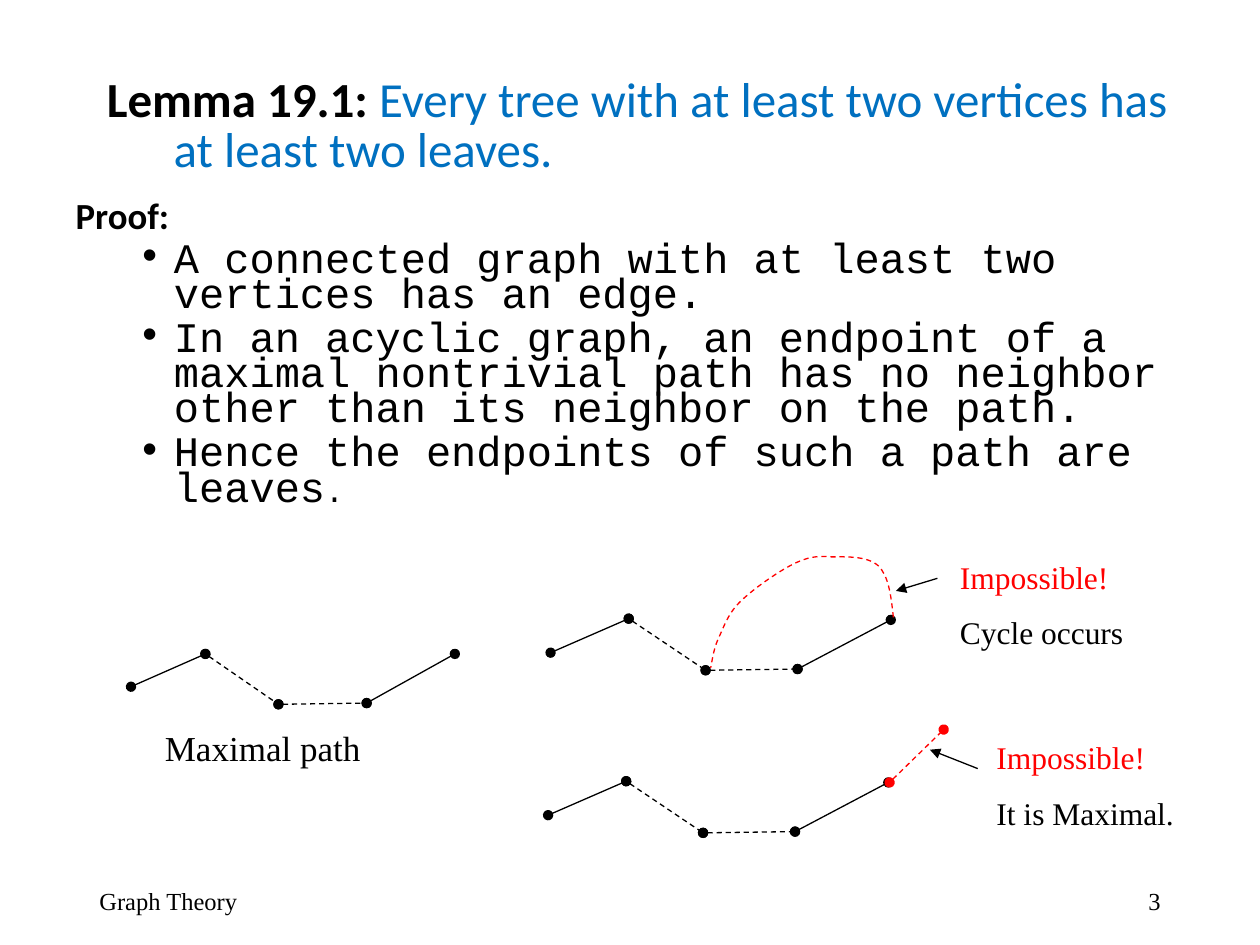
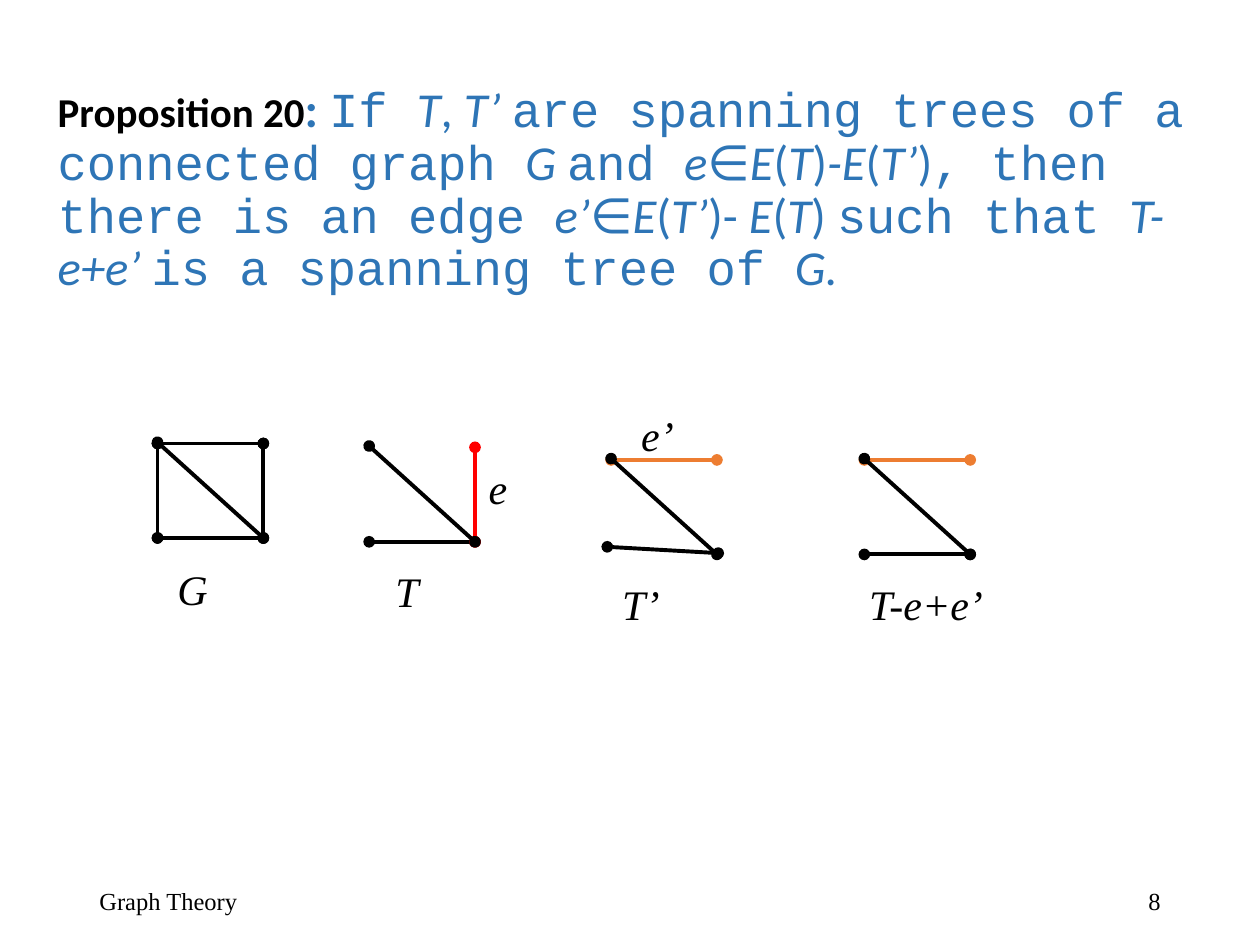
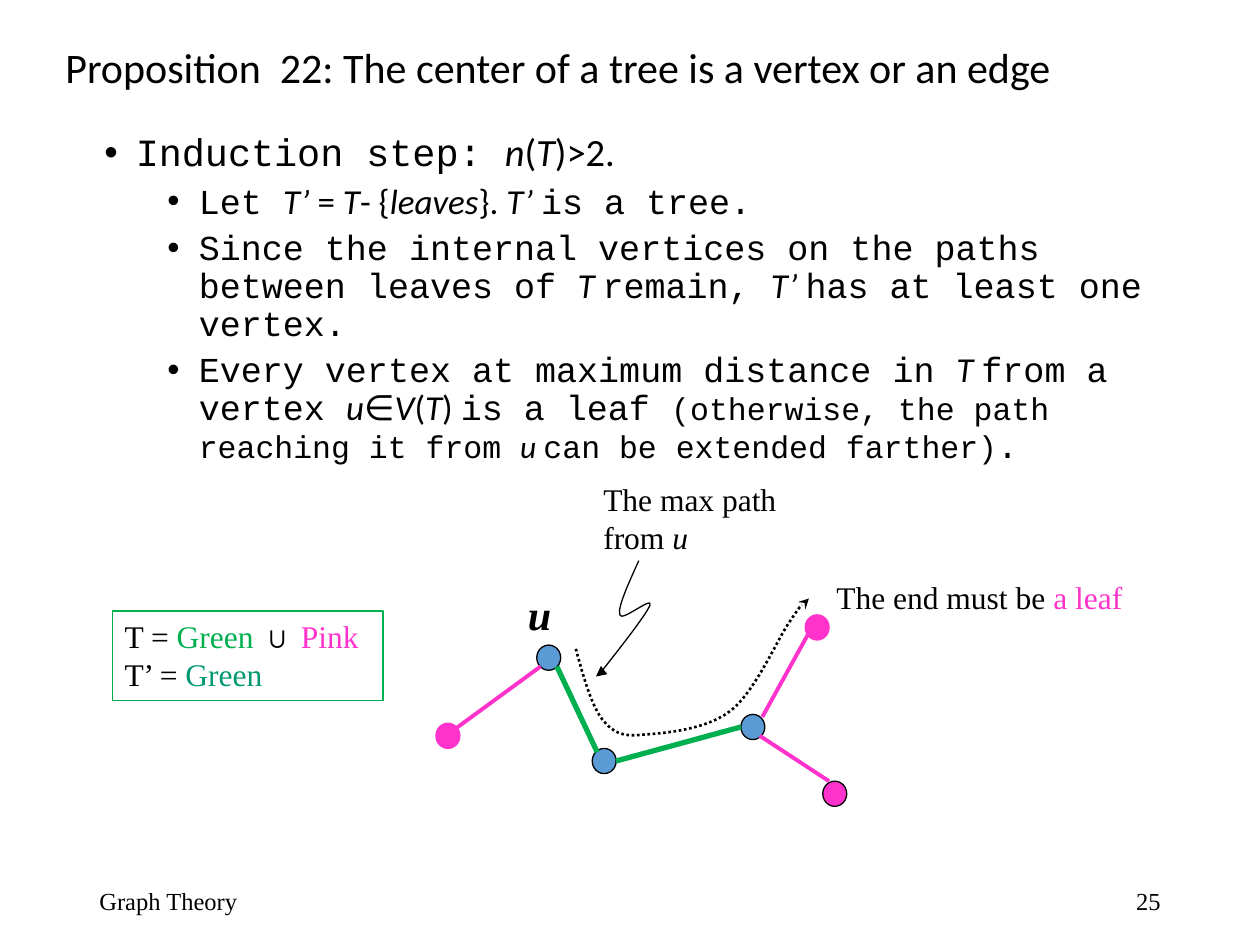
"""Build three graph theory slides on trees, spanning trees and centers."""
from dataclasses import dataclass
from functools import partial
from typing import Optional

from lxml.etree import SubElement
from pptx import Presentation
from pptx.dml.color import RGBColor
from pptx.enum.dml import MSO_LINE
from pptx.enum.shapes import MSO_CONNECTOR, MSO_SHAPE
from pptx.enum.text import MSO_ANCHOR, PP_ALIGN
from pptx.oxml.ns import qn
from pptx.util import Emu, Pt

PX = 9144
COLORS = {
    "black": "000000", "red": "FF0000", "title": "0070C0", "claim": "2E75B6",
    "orange": "ED7D31", "blue": "5B9BD5", "pink": "FF33CC",
    "green": "00B050", "teal": "009973",
}
SANS, MONO, SERIF = "Calibri", "Courier New", "Times New Roman"

Point = tuple[int, int]
Box = tuple[int, int, int, int]


@dataclass(frozen=True)
class Run:
    """A piece of text; unset fields come from its paragraph."""
    text: str
    font: Optional[str] = None
    size: Optional[float] = None
    color: Optional[str] = None
    bold: Optional[bool] = None
    italic: Optional[bool] = None


@dataclass(frozen=True)
class Para:
    """A paragraph with its default run style and its layout."""
    runs: tuple[Run, ...]
    size: float = 18
    font: str = SERIF
    color: str = "black"
    bold: bool = False
    italic: bool = False
    spacing: Optional[float] = None
    before: int = 0
    left: int = 0
    indent: int = 0
    level: int = 0
    bullet: bool = False
    align: PP_ALIGN = PP_ALIGN.LEFT


@dataclass(frozen=True)
class Stroke:
    """The look of a line."""
    color: str = "black"
    width: float = 0.75
    dash: Optional[MSO_LINE] = None
    head: Optional[str] = None
    tail: Optional[str] = None


@dataclass(frozen=True)
class Graph:
    """A small drawn graph: edges relative to its top left corner."""
    origin: Point
    edges: tuple[tuple[Point, Point, str], ...]


@dataclass(frozen=True)
class Vertex:
    """A round vertex of a tree."""
    at: Point
    fill: str
    line: str = "black"


code = partial(Run, font=MONO)
math = partial(Run, font=SANS, italic=True)
sans = partial(Run, font=SANS)

THIN = Stroke(head="oval", tail="oval")
DASHED = Stroke(dash=MSO_LINE.DASH, head="oval", tail="oval")
RED_DASHED = Stroke("red", dash=MSO_LINE.DASH, head="oval", tail="oval")
ARROW = Stroke(tail="triangle")

TL, TR, BL, BR, APEX = (0, 0), (84, 0), (0, 75), (84, 75), (0, -1)


def px(value: int) -> Emu:
    """Turn px into EMU."""
    return Emu(value * PX)


def rgb(name: str) -> RGBColor:
    """Look up a named colour."""
    return RGBColor.from_string(COLORS[name])


def style_line(shape, stroke: Stroke) -> None:
    """Give an outline its colour, width, dash and arrowheads."""
    shape.line.color.rgb = rgb(stroke.color)
    shape.line.width = Pt(stroke.width)
    if stroke.dash:
        shape.line.dash_style = stroke.dash
    ln = shape.line._get_or_add_ln()
    for tag, kind in (("a:headEnd", stroke.head), ("a:tailEnd", stroke.tail)):
        if kind:
            SubElement(ln, qn(tag)).set("type", kind)


def add_line(s, start: Point, end: Point, stroke: Stroke) -> None:
    """Draw a straight line."""
    line = s.shapes.add_connector(MSO_CONNECTOR.STRAIGHT, *map(px, start + end))
    style_line(line, stroke)
    SubElement(line._element.spPr, qn("a:effectLst"))


def add_curve(s, points: list[Point], stroke: Stroke) -> None:
    """Draw a chain of Bézier curves: a start, then three points for each."""
    builder = s.shapes.build_freeform(*points[0], scale=PX)
    builder.add_line_segments(points[1:], close=False)
    shape = builder.convert_to_shape()
    shape.shadow.inherit = False
    shape.fill.background()
    style_line(shape, stroke)
    segments = list(shape._element.iter(qn("a:lnTo")))
    for i in range(0, len(segments), 3):
        curve = SubElement(segments[i].getparent(), qn("a:cubicBezTo"))
        for segment in segments[i:i + 3]:
            curve.append(segment[0])
            segment.getparent().remove(segment)


def fill_text(tf, paras: list[Para], anchor=MSO_ANCHOR.TOP) -> None:
    """Write paragraphs run by run."""
    tf.word_wrap = True
    tf.vertical_anchor = anchor
    for i, para in enumerate(paras):
        p = tf.add_paragraph() if i else tf.paragraphs[0]
        p.alignment, p.level = para.align, para.level
        p.space_before = Pt(para.before if i else 0)
        if para.spacing:
            p.line_spacing = para.spacing
        p_pr = p._p.get_or_add_pPr()
        p_pr.set("marL", str(px(para.left)))
        p_pr.set("indent", str(px(para.indent)))
        if para.bullet:
            SubElement(p_pr, qn("a:buFont")).set("typeface", "Arial")
            SubElement(p_pr, qn("a:buChar")).set("char", "•")
        for run in para.runs:
            r = p.add_run()
            r.text = run.text
            r.font.name = run.font or para.font
            r.font.size = Pt(run.size or para.size)
            r.font.color.rgb = rgb(run.color or para.color)
            r.font.bold = para.bold if run.bold is None else run.bold
            r.font.italic = para.italic if run.italic is None else run.italic


def add_text(s, box: Box, paras: list[Para], anchor=MSO_ANCHOR.TOP):
    """Add a text box and return its frame."""
    tf = s.shapes.add_textbox(*map(px, box)).text_frame
    fill_text(tf, paras, anchor)
    return tf


def add_title(s, box: Box, para: Para) -> None:
    """Add a vertically centred title."""
    add_text(s, box, [para], MSO_ANCHOR.MIDDLE)


def new_slide(prs, number: int):
    """Add a blank slide with the shared footer."""
    s = prs.slides.add_slide(prs.slide_layouts[6])
    for left, text, align in ((69, "Graph Theory", PP_ALIGN.LEFT),
                              (706, str(number), PP_ALIGN.RIGHT)):
        add_text(s, (left, 695, 225, 40),
                 [Para((Run(text),), 14, align=align)], MSO_ANCHOR.MIDDLE)
    return s


def add_path(s, points: list[Point]) -> None:
    """Draw a path whose two inner edges are dashed."""
    strokes = (THIN, DASHED, DASHED, THIN)
    for start, end, stroke in zip(points, points[1:], strokes):
        add_line(s, start, end, stroke)


def build_lemma(prs) -> None:
    """Build the slide on the leaves of a tree."""
    s = new_slide(prs, 3)
    add_title(s, (75, 47, 867, 108), Para((
        Run("Lemma 19.1: ", bold=True),
        Run("Every tree with at least two vertices has at least two leaves.",
            color="title"),
    ), 28, SANS, spacing=0.85, left=53, indent=-53))
    step = partial(Para, size=24, font=MONO, spacing=0.7, before=5, left=104,
                   indent=-25, level=1, bullet=True)
    tf = add_text(s, (32, 158, 935, 258), [
        Para((Run("Proof:"),), 21, SANS, bold=True, spacing=0.7, left=25, indent=1),
        step((Run("A connected graph with at least two vertices has an edge."),)),
        step((Run("In an acyclic graph, an endpoint of a maximal nontrivial path "
                  "has no neighbor other than its neighbor on the path."),)),
        step((Run("Hence the endpoints of such a path are leaves"),
              Run(".", size=18))),
    ])
    tf.margin_left = px(2)

    add_path(s, [(104, 545), (163, 519), (221, 559), (291, 558), (361, 519)])
    add_text(s, (121, 572, 199, 43), [Para((Run("Maximal path"),), 20)])
    upper = [(437, 518), (499, 491), (560, 532), (633, 531), (707, 492)]
    add_path(s, upper)
    add_path(s, [(x - 2, y + 129) for x, y in upper])
    add_curve(s, [(709, 490), (707, 471), (705, 457), (697, 449),
                  (688, 441), (671, 442), (660, 442),
                  (648, 441), (641, 442), (629, 448),
                  (617, 454), (597, 468), (587, 478),
                  (577, 488), (574, 499), (570, 507),
                  (566, 516), (565, 526), (564, 530)],
              Stroke("red", dash=MSO_LINE.DASH))
    add_line(s, (706, 621), (749, 579), RED_DASHED)
    for box, reason in (((752, 438, 163, 85), "Cycle occurs"),
                        ((781, 581, 161, 85), "It is Maximal.")):
        add_text(s, box, [Para((Run("Impossible!"),), color="red"),
                          Para((Run(reason),), before=10)])
    add_line(s, (744, 459), (711, 469), ARROW)
    add_line(s, (776, 610), (738, 595), ARROW)


def build_exchange(prs) -> None:
    """Build the slide on exchanging edges of spanning trees."""
    s = new_slide(prs, 8)
    add_title(s, (36, 67, 936, 169), Para((
        Run("Proposition 20", size=23.4, color="black", bold=True),
        Run(": ", bold=True), code("If "), math("T"), sans(", "), math("T’ "),
        code("are spanning trees of a connected graph "), math("G "),
        code("and "), math("e"), sans("∈"), math("E"), sans("("), math("T"),
        sans(")"), math("-E"), sans("("), math("T’"), sans(")"),
        code(", then there is an edge "), math("e’"), sans("∈"), math("E"),
        sans("("), math("T’"), sans(")- "), math("E"), sans("("), math("T"),
        sans(") "), code("such that "), math("T-e+e’ "),
        code("is a spanning tree of "), math("G."),
    ), 27.9, SANS, "claim", spacing=0.9))

    bottom, diagonal = (BL, BR, "black"), (APEX, BR, "black")
    new_edge = (TL, TR, "orange")
    graphs = (
        Graph((125, 352), ((TL, TR, "black"), (TL, BL, "black"), bottom,
                           (TR, BR, "black"), diagonal)),
        Graph((293, 355), (bottom, (TR, BR, "red"), diagonal)),
        Graph((485, 365), (new_edge, ((85, 74), (-3, 69), "black"), diagonal)),
        Graph((686, 365), (new_edge, bottom, diagonal)),
    )
    for graph in graphs:
        x, y = graph.origin
        for (x1, y1), (x2, y2), color in graph.edges:
            add_line(s, (x + x1, y + y1), (x + x2, y + y2),
                     Stroke(color, 2.25, head="oval", tail="oval"))
    for label, box in (("G", (131, 442, 77, 50)), ("T", (304, 444, 77, 50)),
                       ("T’", (484, 454, 77, 50)), ("T-e+e’", (680, 454, 132, 50)),
                       ("e", (378, 362, 34, 50)), ("e’", (499, 320, 59, 50))):
        add_text(s, box, [Para((Run(label),), 24, italic=True)])


def build_center(prs) -> None:
    """Build the slide on the center of a tree."""
    s = new_slide(prs, 25)
    add_title(s, (42, 17, 908, 81), Para((
        Run("Proposition  22: The center of a tree is a vertex or an edge"),
    ), 24, SANS, spacing=0.7))
    item = partial(Para, font=MONO, spacing=0.9, indent=-25, bullet=True)
    step = partial(item, size=20, before=5, left=75, level=1)
    add_text(s, (73, 101, 873, 261), [
        item((code("Induction step: "), math("n"), sans("("), math("T"),
              sans(")>2.")), size=22, left=25),
        step((code("Let "), math("T’"), sans(" = "), math("T"), sans("- {"),
              math("leaves"), sans("}. "), math("T’ "), code("is a tree."))),
        step((code("Since the internal vertices on the paths between leaves of "),
              math("T "), code("remain, "), math("T’ "),
              code("has at least one vertex."))),
        step((code("Every vertex at maximum distance in "), math("T "),
              code("from a vertex "), math("u"), sans("∈"), math("V"), sans("("),
              math("T"), sans(") "), code("is a leaf "),
              code("(otherwise, the path reaching it from ", size=18),
              math("u ", size=18), code("can be extended farther)", size=18),
              code("."))),
    ])

    for vertex in (Vertex((470, 594), "blue"), Vertex((588, 567), "blue"),
                   Vertex((426, 512), "blue"), Vertex((639, 488), "pink", "pink"),
                   Vertex((653, 620), "pink"), Vertex((346, 574), "pink", "pink")):
        dot = s.shapes.add_shape(MSO_SHAPE.OVAL, *map(px, vertex.at + (19, 20)))
        dot.shadow.inherit = False
        dot.fill.solid()
        dot.fill.fore_color.rgb = rgb(vertex.fill)
        style_line(dot, Stroke(vertex.line))
    kept, leaf = Stroke("green", 3), Stroke("pink", 2.25)
    for start, end, stroke in (((489, 604), (588, 577), kept),
                               ((474, 597), (442, 529), kept),
                               ((605, 569), (641, 504), leaf),
                               ((658, 620), (603, 584), leaf),
                               ((362, 578), (429, 529), leaf)):
        add_line(s, start, end, stroke)

    legend = s.shapes.add_shape(MSO_SHAPE.RECTANGLE, *map(px, (89, 485, 215, 71)))
    legend.shadow.inherit = False
    legend.fill.background()
    style_line(legend, Stroke("green"))
    fill_text(legend.text_frame, [
        Para((Run("T = "), Run("Green ", color="green"), Run("∪ "),
              Run("Pink", color="pink"))),
        Para((Run("T’ = "), Run("Green", color="teal"))),
    ])
    add_curve(s, [(457, 515), (463, 537), (469, 559), (478, 571),
                  (487, 582), (494, 585), (511, 583),
                  (528, 582), (561, 579), (580, 564),
                  (600, 548), (617, 507), (627, 493),
                  (637, 478), (637, 481), (642, 475)],
              Stroke(width=1.5, dash=MSO_LINE.ROUND_DOT, tail="stealth"))
    add_curve(s, [(507, 445), (499, 463), (490, 482), (492, 488),
                  (493, 494), (518, 473), (516, 480),
                  (514, 487), (486, 522), (479, 531),
                  (472, 541), (472, 539), (473, 537)], ARROW)
    add_text(s, (409, 462, 55, 50), [Para((Run("u"),), 24, bold=True, italic=True)])
    add_text(s, (469, 376, 197, 70),
             [Para((Run("The max path from "), Run("u", italic=True)))])
    add_text(s, (654, 454, 278, 40),
             [Para((Run("The end must be "), Run("a leaf", color="pink")))])


def main() -> None:
    """Build and save the presentation."""
    prs = Presentation()
    prs.slide_width, prs.slide_height = px(1000), px(750)
    build_lemma(prs)
    build_exchange(prs)
    build_center(prs)
    prs.save("out.pptx")


if __name__ == "__main__":
    main()
